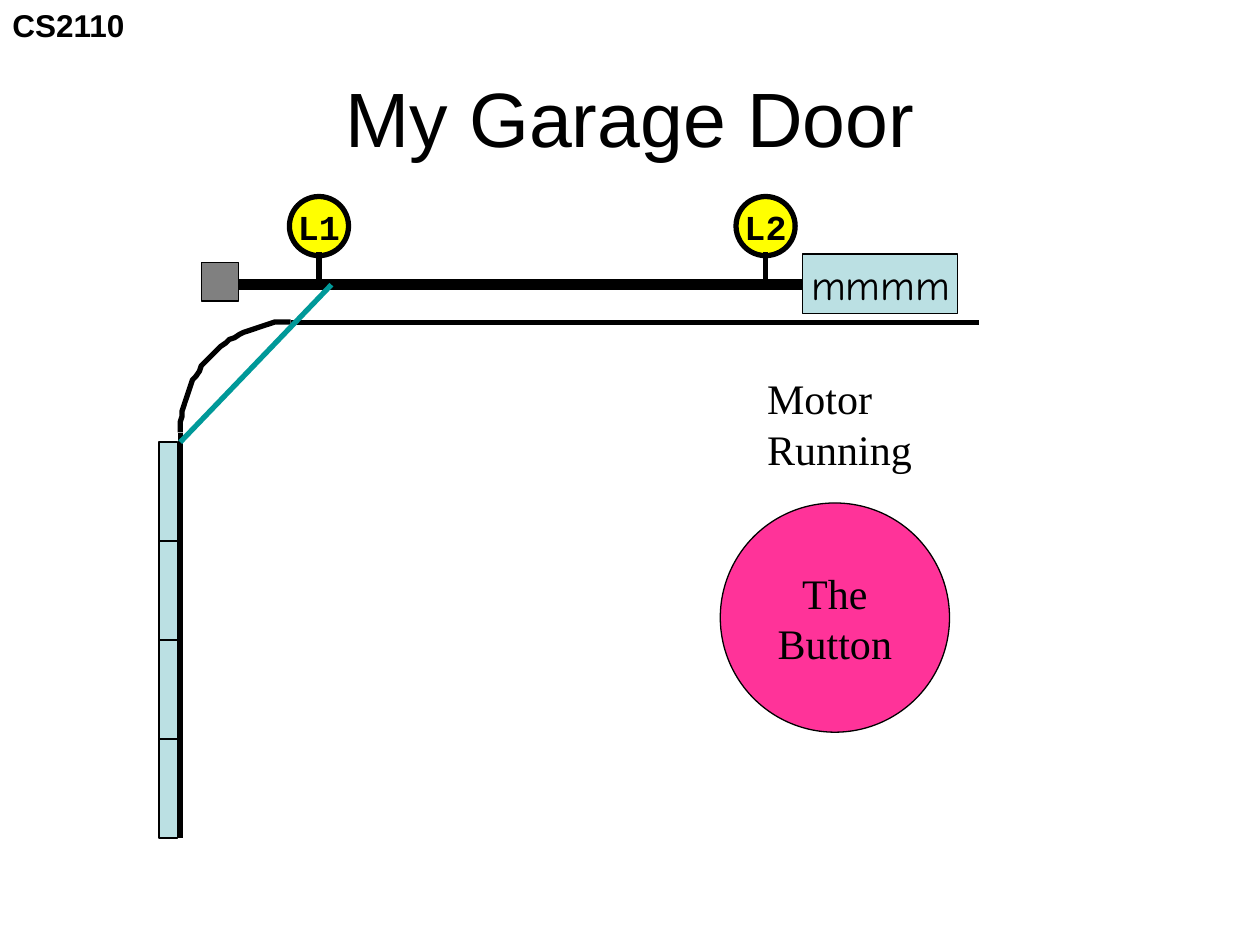
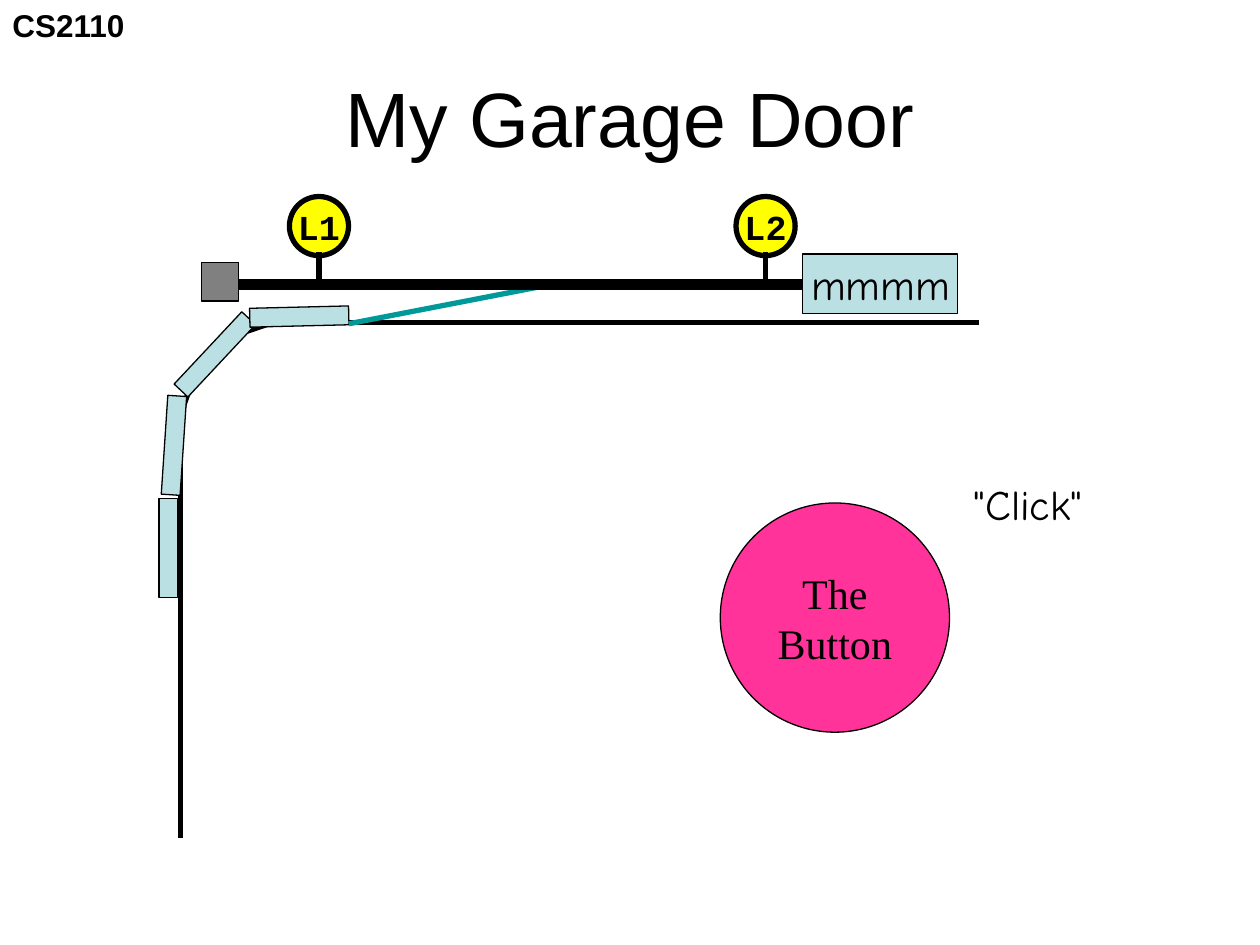
from collections import namedtuple
from math import cos, pi, sin

from lxml.etree import SubElement
from pptx import Presentation
from pptx.dml.color import RGBColor
from pptx.enum.shapes import MSO_CONNECTOR, MSO_SHAPE
from pptx.enum.text import MSO_ANCHOR, MSO_AUTO_SIZE, PP_ALIGN
from pptx.oxml.ns import qn
from pptx.util import Pt

Box = namedtuple("Box", "left top width height")
Panel = namedtuple("Panel", "left top rotation")

COLORS = {
    "ink": "000000",
    "panel": "BBE0E3",
    "arm": "009999",
    "block": "808080",
    "button": "FF3399",
    "switch": "FFFF00",
}
SANS, SERIF, MONO, HAND = "Arial", "Times New Roman", "Courier New", "Comic Neue"
THIN, MEDIUM, THICK = 0.75, 3, 6

# Regions shared by both slides
COURSE_BOX = Box(0, 0, 79.2, 28.8)
TITLE_BOX = Box(36, 21.6, 648, 90)
TRACK_BOX = Box(103, 183.8, 456.5, 295)
OPENER_BOX = Box(115.2, 145.2, 432, 34)
BUTTON_BOX = Box(411.6, 287.4, 131, 131)
SWITCHES = {
    "L1": Box(165.4, 112.3, 33.8, 52.6),
    "L2": Box(420.6, 112.3, 33.8, 53.2),
}
PANEL_WIDTH, PANEL_HEIGHT = 10.8, 56.6


def color(name):
    return RGBColor.from_string(COLORS[name])


def pts(*lengths):
    return [Pt(length) for length in lengths]


def style_line(line, weight, ink="ink"):
    line.color.rgb = color(ink)
    line.width = Pt(weight)


def write(frame, lines, font, size, bold=False, align=PP_ALIGN.LEFT):
    for index, words in enumerate(lines):
        paragraph = frame.add_paragraph() if index else frame.paragraphs[0]
        paragraph.alignment = align
        run = paragraph.add_run()
        run.text = words
        run.font.name = font
        run.font.size = Pt(size)
        run.font.bold = bold
        run.font.color.rgb = color("ink")


def add_figure(shapes, preset, box, fill, weight=THIN):
    figure = shapes.add_shape(preset, *pts(*box))
    figure.shadow.inherit = False
    figure.fill.solid()
    figure.fill.fore_color.rgb = color(fill)
    style_line(figure.line, weight)
    return figure


def add_disc(shapes, box, fill, weight, lines, font, size, bold=False):
    disc = add_figure(shapes, MSO_SHAPE.OVAL, box, fill, weight)
    disc.text_frame.word_wrap = False
    disc.text_frame.vertical_anchor = MSO_ANCHOR.MIDDLE
    write(disc.text_frame, lines, font, size, bold, PP_ALIGN.CENTER)


def add_line(shapes, start, end, weight=MEDIUM, ink="ink"):
    line = shapes.add_connector(MSO_CONNECTOR.STRAIGHT, *pts(*start, *end))
    style_line(line.line, weight, ink)
    SubElement(line.element.spPr, qn("a:effectLst"))


def add_label(shapes, box, words, font, size=24, bold=False):
    frame = shapes.add_textbox(*pts(*box)).text_frame
    frame.word_wrap = False
    frame.auto_size = MSO_AUTO_SIZE.SHAPE_TO_FIT_TEXT
    write(frame, [words], font, size, bold)


def add_heading(slide):
    # Course code in the corner, then the title
    add_label(slide.shapes, COURSE_BOX, "CS2110", SANS, 18, True)
    title = slide.shapes.title
    title.left, title.top, title.width, title.height = pts(*TITLE_BOX)
    title.text_frame.vertical_anchor = MSO_ANCHOR.MIDDLE
    write(title.text_frame, ["My Garage Door"], SANS, 44, align=PP_ALIGN.CENTER)


def add_track(slide, box):
    shapes = slide.shapes.add_group_shape().shapes
    radius, steps = 63.4, 32
    center_x, center_y = box.left + radius, box.top + radius
    # Quarter bend from the top rail down to the side rail
    bend_points = [
        (center_x - radius * sin(angle), center_y - radius * cos(angle))
        for angle in (pi / 2 * step / steps for step in range(steps + 1))
    ]
    builder = shapes.build_freeform(*bend_points[0], scale=Pt(1))
    builder.add_line_segments(bend_points[1:], close=False)
    bend = builder.convert_to_shape()
    bend.shadow.inherit = False
    bend.fill.background()
    style_line(bend.line, MEDIUM)
    # Straight rails
    top = box.top + 0.7
    add_line(shapes, (center_x, top), (box.left + box.width, top))
    add_line(shapes, (box.left, center_y), (box.left, box.top + box.height))


def add_door(slide, panels):
    for panel in panels:
        box = Box(panel.left, panel.top, PANEL_WIDTH, PANEL_HEIGHT)
        section = add_figure(slide.shapes, MSO_SHAPE.RECTANGLE, box, "panel")
        section.rotation = panel.rotation


def add_opener(slide, box):
    shapes = slide.shapes
    motor_box = Box(box.left + 343.2, box.top, 88.8, box.height)
    rail_y = box.top + 17.5
    # Drive rail, motor and end block
    add_line(shapes, (box.left + 21.6, rail_y), (box.left + box.width, rail_y), THICK)
    add_figure(shapes, MSO_SHAPE.RECTANGLE, motor_box, "panel")
    add_figure(shapes, MSO_SHAPE.RECTANGLE,
               Box(box.left, box.top + 4.6, 21.2, 22.2), "block")
    add_label(shapes, Box(motor_box.left - 2, box.top - 1.2, 93.6, 36), "mmmm", HAND)


def add_switch(slide, box, name):
    shapes = slide.shapes.add_group_shape().shapes
    lamp_box = Box(box.left, box.top, box.width, box.width)
    add_disc(shapes, lamp_box, "switch", MEDIUM, [name], MONO, 20, True)
    stem_x = box.left + box.width / 2
    add_line(shapes, (stem_x, box.top + 31.7), (stem_x, box.top + box.height))


def build_garage(prs, panels, arm, arm_in_front, note_box, note, note_font):
    slide = prs.slides.add_slide(prs.slide_layouts[5])
    add_heading(slide)
    add_track(slide, TRACK_BOX)
    add_door(slide, panels)
    if arm_in_front:
        add_opener(slide, OPENER_BOX)
    add_line(slide.shapes, *arm, ink="arm")
    if not arm_in_front:
        add_opener(slide, OPENER_BOX)
    add_disc(slide.shapes, BUTTON_BOX, "button", THIN, ["The", "Button"], SERIF, 24)
    for name, box in SWITCHES.items():
        add_switch(slide, box, name)
    add_label(slide.shapes, note_box, note, note_font)


def main():
    prs = Presentation()
    prs.slide_width, prs.slide_height = pts(720, 540)

    # Door closed, motor starting
    closed = [Panel(90.8, 252.5 + PANEL_HEIGHT * row, 0) for row in range(4)]
    build_garage(prs, closed, ((103, 252.7), (189.4, 162.7)), True,
                 Box(431.3, 209.5, 162.7, 36), "Motor Running", SERIF)

    # Door partly open, limit switch clicking
    opening = [
        Panel(117.4, 174.2, 43.1),
        Panel(165.6, 152.6, 88.6),
        Panel(90.8, 285, 0),
        Panel(94, 226.2, 3.8),
    ]
    build_garage(prs, opening, ((199.4, 185), (321.8, 161.3)), False,
                 Box(549.4, 270, 76.3, 36), '"Click"', HAND)

    prs.save("out.pptx")


if __name__ == "__main__":
    main()
